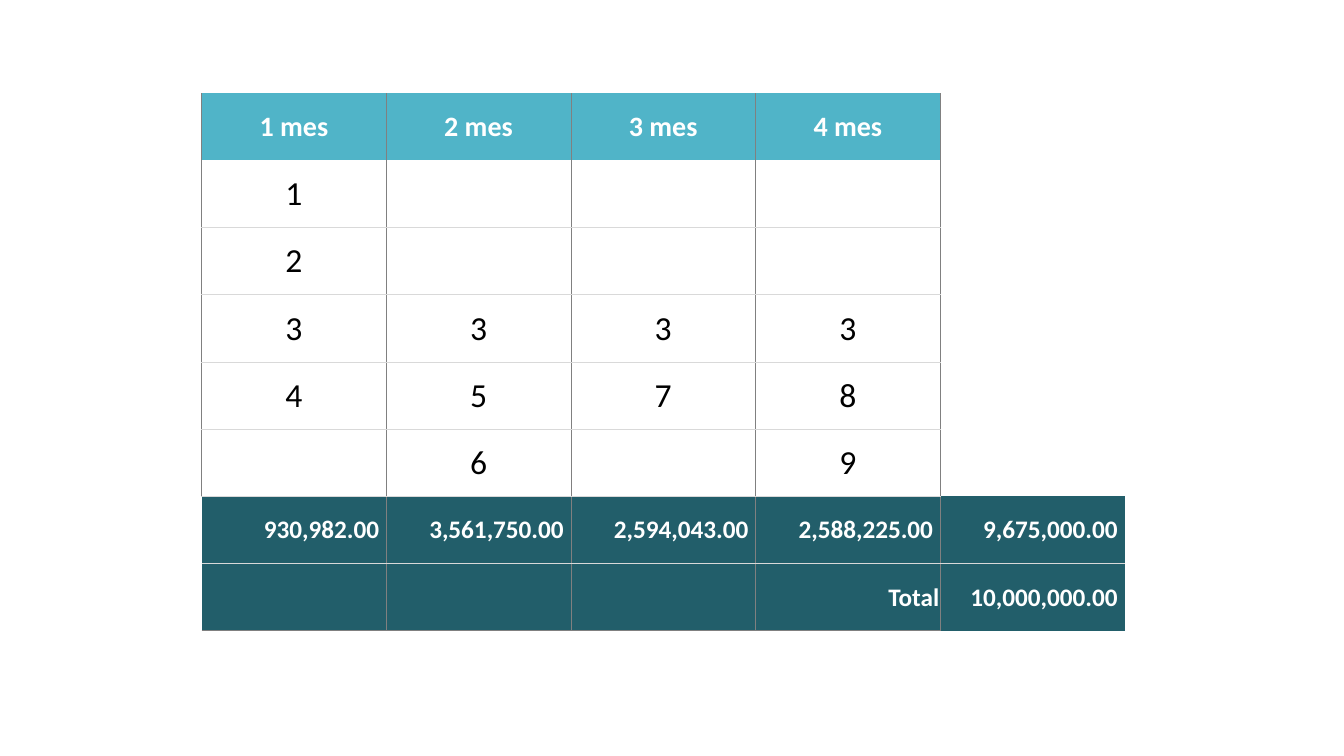
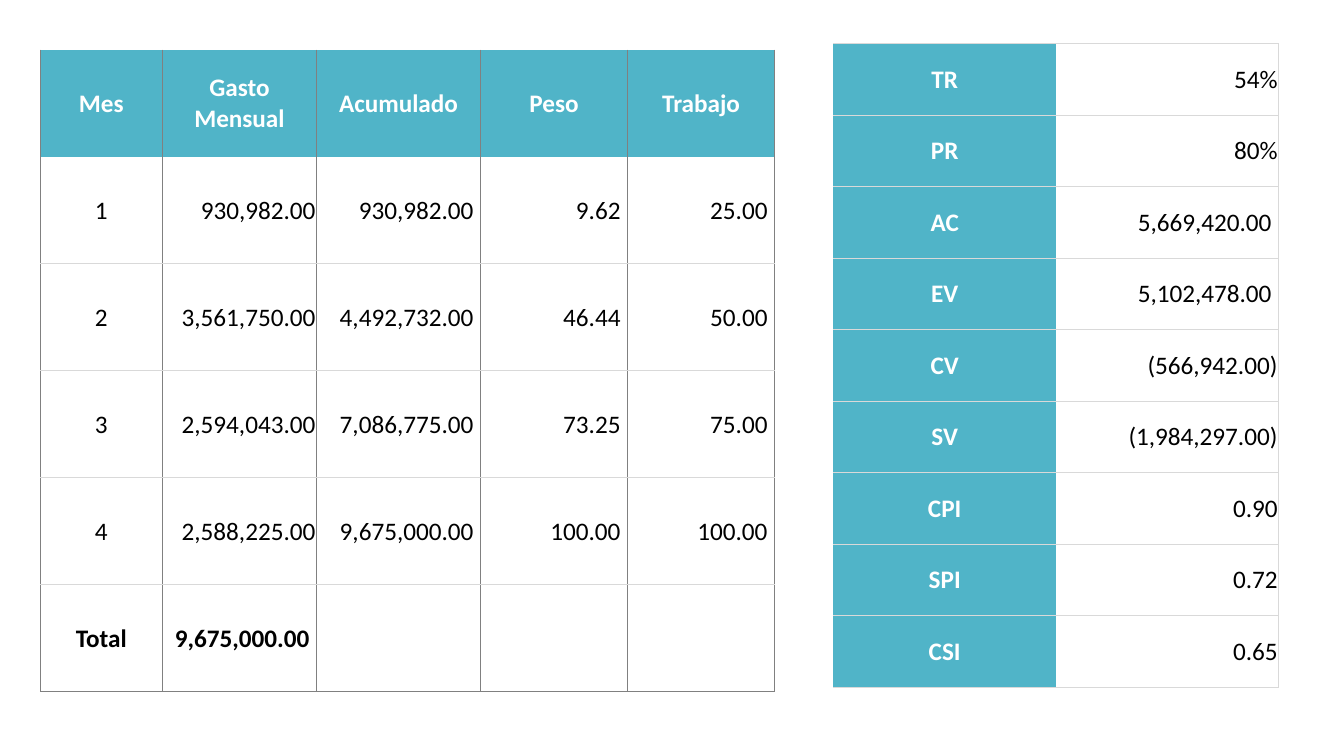
from dataclasses import dataclass, replace

from lxml import etree
from pptx import Presentation
from pptx.dml.color import RGBColor
from pptx.enum.text import MSO_ANCHOR, PP_ALIGN
from pptx.oxml.ns import qn
from pptx.util import Pt

CENTER = PP_ALIGN.CENTER
RIGHT = PP_ALIGN.RIGHT
MIDDLE = MSO_ANCHOR.MIDDLE
PLAIN_TABLE_STYLE = "{2D5ABB26-0587-4C30-8999-92F81FD0307C}"


@dataclass(frozen=True)
class Theme:
    font: str = "Calibri"
    header: str = "50B4C8"
    total: str = "225E6A"
    light_text: str = "FFFFFF"
    dark_text: str = "000000"
    strong_line: str = "808080"
    soft_line: str = "D9D9D9"
    line_width: float = 0.5
    body_size: int = 18
    heading_size: int = 20
    large_size: int = 24
    edge_inset: float = 0.7
    number_inset: float = 5


THEME = Theme()


@dataclass(frozen=True)
class CellStyle:
    size: int = THEME.body_size
    color: str = THEME.dark_text
    bold: bool = False
    alignment: int = CENTER
    right_inset: float = THEME.edge_inset
    fill: str = ""


BODY = CellStyle()
LARGE = replace(BODY, size=THEME.large_size)
HEADER = replace(BODY, color=THEME.light_text, bold=True, fill=THEME.header)
LARGE_HEADER = replace(HEADER, size=THEME.heading_size)
FLUSH = replace(BODY, alignment=RIGHT)
NUMBER = replace(FLUSH, right_inset=THEME.number_inset)
BOLD = replace(BODY, bold=True)
BOLD_NUMBER = replace(NUMBER, bold=True)
TOTAL_LABEL = replace(HEADER, alignment=RIGHT, fill=THEME.total)
TOTAL_NUMBER = replace(TOTAL_LABEL, right_inset=THEME.number_inset)


def add_borders(cell, borders):
    properties = cell._tc.get_or_add_tcPr()
    for side in "LRTB":
        strong = side in borders
        if not strong and side.lower() not in borders:
            continue
        line = etree.SubElement(properties, qn("a:ln" + side), w=str(Pt(THEME.line_width)))
        fill = etree.SubElement(line, qn("a:solidFill"))
        color = THEME.strong_line if strong else THEME.soft_line
        etree.SubElement(fill, qn("a:srgbClr"), val=color)


def fill_cell(cell, text, style, borders):
    add_borders(cell, borders)
    if style.fill:
        cell.fill.solid()
        cell.fill.fore_color.rgb = RGBColor.from_string(style.fill)
    else:
        cell.fill.background()
    cell.vertical_anchor = MIDDLE
    cell.margin_left = cell.margin_top = Pt(THEME.edge_inset)
    cell.margin_right = Pt(style.right_inset)
    cell.margin_bottom = Pt(0)
    if not text:
        return
    paragraph = cell.text_frame.paragraphs[0]
    paragraph.alignment = style.alignment
    run = paragraph.add_run()
    run.text = text
    run.font.name = THEME.font
    run.font.size = Pt(style.size)
    run.font.bold = style.bold
    run.font.color.rgb = RGBColor.from_string(style.color)


def add_grid(slide, left, top, widths, row_height, rows, style_for, borders_for):
    shape = slide.shapes.add_table(
        len(rows), len(widths), Pt(left), Pt(top),
        Pt(sum(widths)), Pt(row_height * len(rows)),
    )
    table = shape.table
    table.first_row = table.horz_banding = False
    table._tbl.tblPr.find(qn("a:tableStyleId")).text = PLAIN_TABLE_STYLE
    for column, width in zip(table.columns, widths):
        column.width = Pt(width)
    for row_index, texts in enumerate(rows):
        table.rows[row_index].height = Pt(row_height)
        for column_index, text in enumerate(texts):
            fill_cell(
                table.cell(row_index, column_index), text,
                style_for(row_index, column_index),
                borders_for(row_index, column_index),
            )


def schedule_style(row, column):
    if row >= 6:
        return TOTAL_LABEL if (row, column) == (7, 3) else TOTAL_NUMBER
    return LARGE_HEADER if row == 0 and column < 4 else LARGE


def schedule_borders(row, column):
    left = "L" if column > 0 or row < 6 else ""
    right = "R" if column < 4 else ""
    if column == 4 and row < 6:
        return left
    top = "t" if row in (2, 3, 4, 5, 7) else ""
    bottom = "b" if row in (1, 2, 3, 4, 6) else ""
    if row == 7 and column < 4:
        bottom = "B"
    return left + right + top + bottom


def spending_style(row, column):
    if row == 0:
        return HEADER
    if column == 0:
        return BOLD if row == 5 else BODY
    if row == 5:
        return BOLD_NUMBER
    return FLUSH if column == 1 else NUMBER


def spending_borders(row, column):
    top = "t" if row > 1 else ""
    bottom = ("", "b", "b", "b", "b", "B")[row]
    return "LR" + top + bottom


def add_schedule(slide):
    rows = [
        ["1 mes", "2 mes", "3 mes", "4 mes", ""],
        ["1", "", "", "", ""],
        ["2", "", "", "", ""],
        ["3", "3", "3", "3", ""],
        ["4", "5", "7", "8", ""],
        ["", "6", "", "9", ""],
        ["930,982.00", "3,561,750.00", "2,594,043.00", "2,588,225.00", "9,675,000.00"],
        ["", "", "", "Total", "10,000,000.00"],
    ]
    add_grid(slide, 144, 66.5, [131.9] * 5, 48, rows, schedule_style, schedule_borders)


def add_spending(slide):
    rows = [
        ["Mes", "Gasto Mensual", "Acumulado", "Peso", "Trabajo"],
        ["1", "930,982.00", "930,982.00", "9.62", "25.00"],
        ["2", "3,561,750.00", "4,492,732.00", "46.44", "50.00"],
        ["3", "2,594,043.00", "7,086,775.00", "73.25", "75.00"],
        ["4", "2,588,225.00", "9,675,000.00", "100.00", "100.00"],
        ["Total", "9,675,000.00", "", "", ""],
    ]
    widths = [87.2, 110.1, 117.2, 105, 105]
    add_grid(slide, 28.8, 35.5, widths, 76.4, rows, spending_style, spending_borders)


def add_indicators(slide):
    rows = [
        ["TR", "54%"],
        ["PR", "80%"],
        ["AC", "5,669,420.00"],
        ["EV", "5,102,478.00"],
        ["CV", "(566,942.00)"],
        ["SV", "(1,984,297.00)"],
        ["CPI", "0.90"],
        ["SPI", "0.72"],
        ["CSI", "0.65"],
    ]

    def style_for(row, column):
        if column == 0:
            return HEADER
        return NUMBER if rows[row][0] in ("AC", "EV") else FLUSH

    def borders_for(row, column):
        return "tbr" if column else "tb"

    add_grid(slide, 595.3, 31, [159] * 2, 51.1, rows, style_for, borders_for)


def main():
    presentation = Presentation()
    presentation.slide_width = Pt(960)
    presentation.slide_height = Pt(540)
    blank = presentation.slide_layouts[6]
    add_schedule(presentation.slides.add_slide(blank))
    results = presentation.slides.add_slide(blank)
    add_spending(results)
    add_indicators(results)
    presentation.save("out.pptx")


main()
